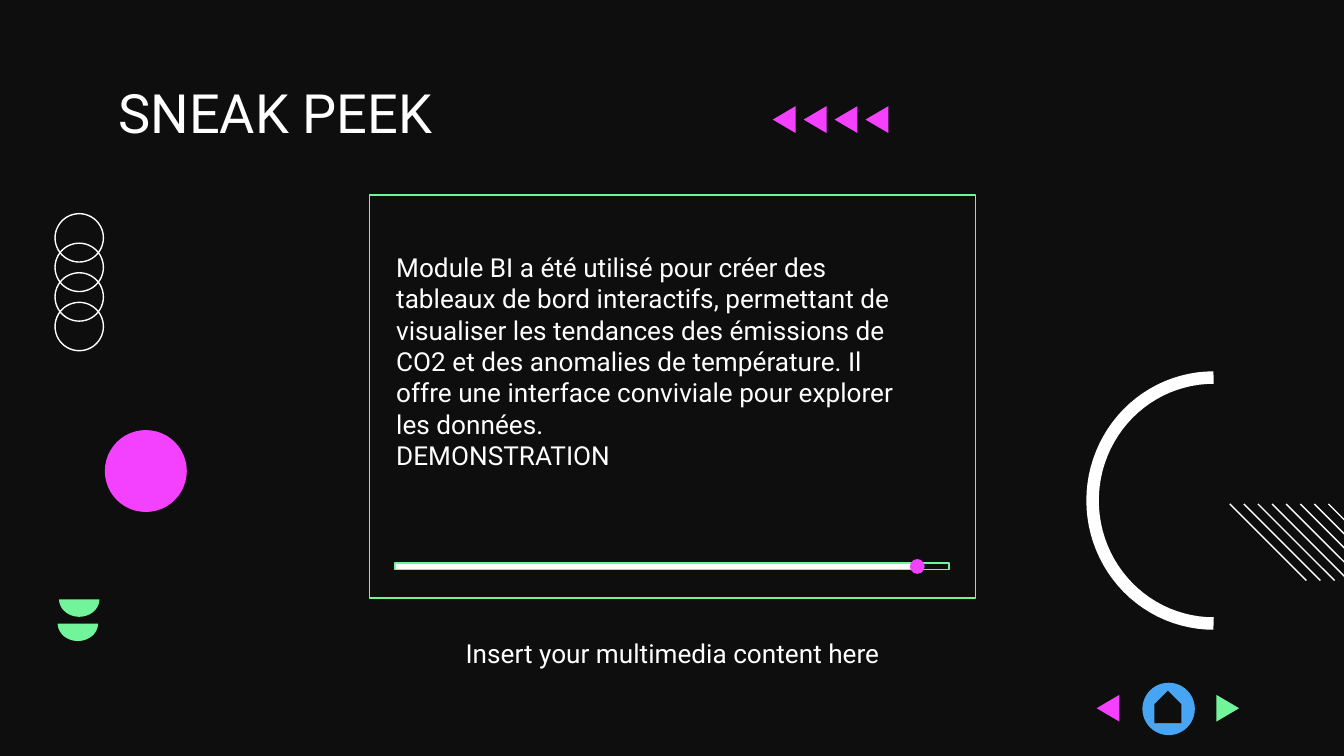
import math
from dataclasses import dataclass

from lxml import etree
from pptx import Presentation
from pptx.dml.color import RGBColor
from pptx.enum import shapes, text
from pptx.oxml.ns import qn
from pptx.util import Inches, Pt


@dataclass(frozen=True)
class Theme:
    dark: str = "0E0E0E"
    white: str = "FFFFFF"
    green: str = "72F49A"
    pink: str = "F341FF"
    blue: str = "47A5F3"
    font: str = "Roboto"
    title: float = 29
    body: float = 14
    hairline: float = 0.75
    arc: float = 6.69


T = Theme()
RECT = shapes.MSO_SHAPE.RECTANGLE
OVAL = shapes.MSO_SHAPE.OVAL
PENTAGON = shapes.MSO_SHAPE.PENTAGON

BODY = (
    "Module BI a été utilisé pour créer des tableaux de bord interactifs, "
    "permettant de visualiser les tendances des émissions de CO2 et des "
    "anomalies de température. Il offre une interface conviviale pour "
    "explorer les données.",
    "DEMONSTRATION",
)


def paint(sp, fill=None, line=None, weight=T.hairline):
    sp.shadow.inherit = False
    if fill:
        sp.fill.solid()
        sp.fill.fore_color.rgb = RGBColor.from_string(fill)
    else:
        sp.fill.background()
    if line:
        sp.line.color.rgb = RGBColor.from_string(line)
        sp.line.width = Pt(weight)
    else:
        sp.line.fill.background()
    return sp


def add_preset(s, kind, x, y, w, h, **style):
    sp = s.shapes.add_shape(kind, Inches(x), Inches(y), Inches(w), Inches(h))
    return paint(sp, **style)


def add_outline(s, points, close=True, **style):
    start, *rest = [(Inches(x), Inches(y)) for x, y in points]
    builder = s.shapes.build_freeform(*start)
    builder.add_line_segments(rest, close=close)
    return paint(builder.convert_to_shape(), **style)


def arc_points(cx, cy, rx, ry, start, end, steps=48):
    """Points along an ellipse; degrees run clockwise from the right."""
    angles = [math.radians(start + (end - start) * i / steps) for i in range(steps + 1)]
    return [(cx + rx * math.cos(a), cy + ry * math.sin(a)) for a in angles]


def add_triangle(s, x, y, w, h, color, left=True):
    base, tip = (x + w, x) if left else (x, x + w)
    add_outline(s, [(base, y), (tip, y + h / 2), (base, y + h)], fill=color)


def write(tf, lines, size, align=text.PP_ALIGN.LEFT):
    tf.word_wrap = True
    tf.vertical_anchor = text.MSO_ANCHOR.TOP
    for i, line in enumerate(lines):
        p = tf.paragraphs[0] if i == 0 else tf.add_paragraph()
        p.text = line
        p.alignment = align
        p.font.name = T.font
        p.font.size = Pt(size)
        p.font.color.rgb = RGBColor.from_string(T.white)


def set_insets(tf, left, top, right, bottom):
    tf.margin_left, tf.margin_top = Inches(left), Inches(top)
    tf.margin_right, tf.margin_bottom = Inches(right), Inches(bottom)


def add_text(s, x, y, w, h, lines, **kwargs):
    sp = s.shapes.add_textbox(Inches(x), Inches(y), Inches(w), Inches(h))
    write(sp.text_frame, lines, T.body, **kwargs)
    return sp.text_frame


def place_title(s, x, y, w, h):
    sp = s.shapes.title
    sp.left, sp.top, sp.width, sp.height = map(Inches, (x, y, w, h))
    tf = sp.text_frame
    tf.auto_size = text.MSO_AUTO_SIZE.NONE
    set_insets(tf, 0.1, 0, 0.1, 0.1)
    write(tf, ["SNEAK PEEK"], T.title)


def left_ornaments(s, x, y):
    for i in range(4):
        add_preset(s, OVAL, x + 0.02, y + 0.22 * i, 0.36, 0.36, line=T.white)
    add_preset(s, OVAL, x + 0.39, y + 1.61, 0.61, 0.61, fill=T.pink)
    for dx, dy in ((0.04, 3.05), (0.05, 2.87)):
        bowl = arc_points(x + dx + 0.15, y + dy, 0.15, 0.13, 0, 180)
        add_outline(s, bowl, fill=T.green)


def stripes(s, x, y, size, pitch, count):
    for i in range(count):
        left = x + pitch * i
        cxn = s.shapes.add_connector(
            shapes.MSO_CONNECTOR.STRAIGHT,
            Inches(left), Inches(y), Inches(left + size), Inches(y + size))
        cxn.line.color.rgb = RGBColor.from_string(T.white)
        cxn.line.width = Pt(T.hairline)
        etree.SubElement(cxn._element.spPr, qn("a:effectLst"))


def media_frame(s, x, y, w, h):
    add_preset(s, RECT, x, y, w, h, line=T.green)
    bar_x, bar_y = x + 0.19, y + 2.74
    add_preset(s, RECT, bar_x, bar_y, 3.9, 0.05, fill=T.white)
    add_preset(s, RECT, bar_x, bar_y, 4.12, 0.05, line=T.green)
    add_preset(s, OVAL, bar_x + 3.83, bar_y - 0.03, 0.11, 0.11, fill=T.pink)
    tf = add_text(s, x + 0.1, y + 0.37, 4.03, 1.75, BODY)
    tf.auto_size = text.MSO_AUTO_SIZE.SHAPE_TO_FIT_TEXT


def caption(s, x, y, w, h):
    tf = add_text(s, x, y, w, h, ["Insert your multimedia content here"],
                  align=text.PP_ALIGN.CENTER)
    set_insets(tf, 0.1, 0.1, 0.1, 0.1)


def arrow_row(s, x, y, count=4, pitch=0.23):
    for i in range(count):
        add_triangle(s, x + pitch * i, y, 0.17, 0.2, T.pink)


def half_ring(s, x, y, w, h):
    points = arc_points(x + w, y + h / 2, w, h / 2, 90, 270)
    add_outline(s, points, close=False, line=T.white, weight=T.arc)


def navigation(s, x, y):
    add_preset(s, OVAL, x + 0.34, y, 0.39, 0.39, fill=T.blue)
    house = add_preset(s, PENTAGON, x + 0.41, y + 0.08, 0.24, 0.2, fill=T.dark)
    house.rotation = 270
    add_triangle(s, x, y + 0.09, 0.17, 0.2, T.pink)
    add_triangle(s, x + 0.89, y + 0.09, 0.17, 0.2, T.green, left=False)


def main():
    prs = Presentation()
    prs.slide_width = Inches(10)
    prs.slide_height = prs.slide_width * 9 // 16
    s = prs.slides.add_slide(prs.slide_layouts[5])
    s.background.fill.solid()
    s.background.fill.fore_color.rgb = RGBColor.from_string(T.dark)

    left_ornaments(s, 0.39, 1.59)
    stripes(s, 9.15, 3.75, size=0.57, pitch=0.105, count=8)
    place_title(s, 0.78, 0.59, 8.44, 0.46)
    media_frame(s, 2.75, 1.45, 4.51, 3)
    caption(s, 2.48, 4.64, 5.05, 0.4)
    arrow_row(s, 5.75, 0.79)
    half_ring(s, 8.13, 2.81, 0.9, 1.83)
    navigation(s, 8.16, 5.08)
    prs.save("out.pptx")


if __name__ == "__main__":
    main()
